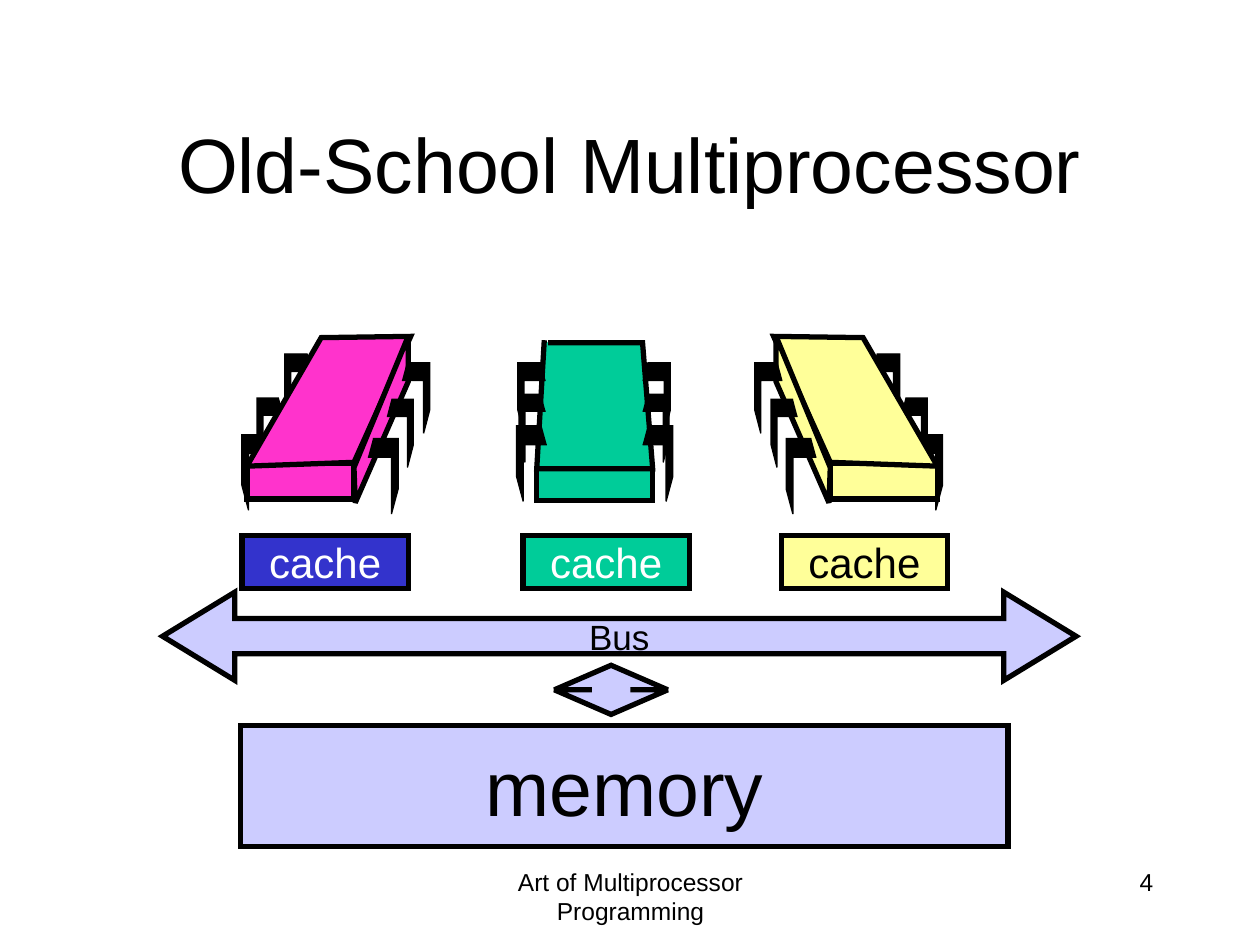
from dataclasses import dataclass

from lxml.etree import SubElement
from pptx import Presentation
from pptx.dml.color import RGBColor
from pptx.enum.shapes import MSO_SHAPE
from pptx.enum.text import MSO_ANCHOR, PP_ALIGN
from pptx.oxml.ns import qn
from pptx.util import Inches, Pt

COLORS = {
    "black": "000000", "white": "FFFFFF", "blue": "3333CC", "green": "00CC99",
    "pink": "FF33CC", "yellow": "FFFF99", "lilac": "CCCCFF",
}
FONT = "Arial"
COLS, ROWS = 100, 75  # slide grid; every length below is in cells
PIN_SIZES = ((2.4, 6.0), (2.1, 5.4), (2.2, 5.6))  # front to back
PIN_OUTLINE = ((0.17, 0), (1, 0), (1, 0.67), (0.78, 1), (0.78, 0.25), (0, 0.25))

Points = list[tuple[float, float]]


@dataclass
class Box:
    x: float
    y: float
    w: float
    h: float
    fill: str
    text: str = ""
    size: int = 24
    color: str = "black"
    kind: MSO_SHAPE = MSO_SHAPE.RECTANGLE
    adj: tuple[float, ...] = ()


@dataclass
class Outline:
    points: Points
    fill: str
    width: float = 3
    closed: bool = True


@dataclass
class Label:
    x: float
    y: float
    w: float
    h: float
    text: str
    align: PP_ALIGN


prs = Presentation()
prs.slide_width, prs.slide_height = Inches(10), Inches(7.5)


def col(n: float) -> int:
    return round(prs.slide_width * n / COLS)


def row(n: float) -> int:
    return round(prs.slide_height * n / ROWS)


def place(item) -> tuple[int, int, int, int]:
    return col(item.x), row(item.y), col(item.w), row(item.h)


def write(tf, text: str, size: int, color: str = "black",
          align: PP_ALIGN = PP_ALIGN.CENTER, **frame) -> None:
    for name, value in frame.items():
        setattr(tf, name, value)
    p = tf.paragraphs[0]
    p.alignment = align
    r = p.add_run()
    r.text = text
    for name, value in {"name": FONT, "size": Pt(size)}.items():
        setattr(r.font, name, value)
    r.font.color.rgb = RGBColor.from_string(COLORS[color])


def paint(sp, fill: str, width: float) -> None:
    sp.shadow.inherit = False
    sp.fill.solid()
    sp.fill.fore_color.rgb = RGBColor.from_string(COLORS[fill])
    sp.line.color.rgb = RGBColor.from_string(COLORS["black"])
    sp.line.width = Pt(width)
    SubElement(sp.line._get_or_add_ln(), qn("a:miter"), lim="800000")


def draw_box(shapes, box: Box) -> None:
    sp = shapes.add_shape(box.kind, *place(box))
    for i, value in enumerate(box.adj):
        sp.adjustments[i] = value
    paint(sp, box.fill, 3)
    if box.text:
        write(sp.text_frame, box.text, box.size, box.color,
              word_wrap=False, vertical_anchor=MSO_ANCHOR.MIDDLE)


def draw_outline(shapes, outline: Outline) -> None:
    pts = [(col(x), row(y)) for x, y in outline.points]
    builder = shapes.build_freeform(*pts[0])
    builder.add_line_segments(pts[1:], close=outline.closed)
    paint(builder.convert_to_shape(), outline.fill, outline.width)


def draw_label(shapes, label: Label) -> None:
    sp = shapes.add_textbox(*place(label))
    write(sp.text_frame, label.text, 14, align=label.align, word_wrap=True)


def pins(xs: tuple, ys: tuple, left: bool = False) -> list[Outline]:
    """Three pins, front to back, bent to the right or to the left."""
    return [
        Outline([(x + w * (1 - u if left else u), y + h * v)
                 for u, v in PIN_OUTLINE], "black", 0.75, closed=False)
        for x, y, (w, h) in zip(xs, ys, PIN_SIZES)
    ]


def straight_chip(fill: str) -> list:
    ys = (33.8, 31.3, 28.8)
    top = [(43.5, 27.2), (51, 27.2), (51.8, 37.2), (42.6, 37.2), (43.2, 27)]
    return [Box(42.6, 37.2, 9.2, 2.5, fill), Outline(top, fill, closed=False),
            *pins((51, 51, 51), ys), *pins((41, 41.2, 41.1), ys, left=True)]


def slanted_chip(fill: str) -> list:
    top = [(19.6, 37), (28.1, 36.7), (32.6, 26.7), (25.5, 26.8)]
    side = [(32.4, 26.7), (32.4, 30.3), (28.2, 39.9), (28.1, 37.1)]
    return [Box(19.6, 36.8, 8.5, 2.8, fill),
            *pins((19.2, 20.4, 22.6), (34.5, 31.6, 28.1), left=True),
            Outline(top, fill), Outline(side, fill),
            *pins((29.2, 30.7, 31.9), (34.8, 31.7, 28.8))]


def mirror(parts: list, axis: float) -> list:
    for part in parts:
        if isinstance(part, Box):
            part.x = 2 * axis - part.x - part.w
        else:
            part.points = [(2 * axis - x, y) for x, y in part.points]
    return parts


def cache(x: float, fill: str, color: str) -> Box:
    return Box(x, 42.5, 13.2, 4.2, fill, "cache", 24, color)


def main() -> None:
    s = prs.slides.add_slide(prs.slide_layouts[5])

    # Title
    title = s.shapes.title
    frame = zip(("left", "top", "width", "height"),
                (col(7.5), row(6.7), col(85), row(12.5)))
    for name, value in frame:
        setattr(title, name, value)
    write(title.text_frame, "Old-School Multiprocessor", 44,
          word_wrap=True, vertical_anchor=MSO_ANCHOR.MIDDLE)

    # Footer and slide number
    for label in (
        Label(34.2, 68.3, 31.7, 5, "Art of Multiprocessor Programming", PP_ALIGN.CENTER),
        Label(71.7, 68.3, 20.8, 5, "4", PP_ALIGN.RIGHT),
    ):
        draw_label(s.shapes, label)

    # Processors, caches, bus and memory, back to front
    parts = [
        cache(19.2, "blue", "white"),
        *straight_chip("green"),
        *slanted_chip("pink"),
        *mirror(slanted_chip("yellow"), axis=47),
        Box(12.9, 47, 72.5, 7, "lilac", "Bus", 20,
            kind=MSO_SHAPE.LEFT_RIGHT_ARROW, adj=(0.4, 0.82)),
        Box(19.1, 57.6, 60.9, 9.6, "lilac", "memory", 44),
        Box(44, 52.8, 9, 3.9, "lilac",
            kind=MSO_SHAPE.UP_DOWN_ARROW, adj=(0.5, 0.34)),
        cache(62, "yellow", "black"),
        cache(41.5, "green", "white"),
    ]
    for part in parts:
        draw = draw_box if isinstance(part, Box) else draw_outline
        draw(s.shapes, part)

    prs.save("out.pptx")


if __name__ == "__main__":
    main()
